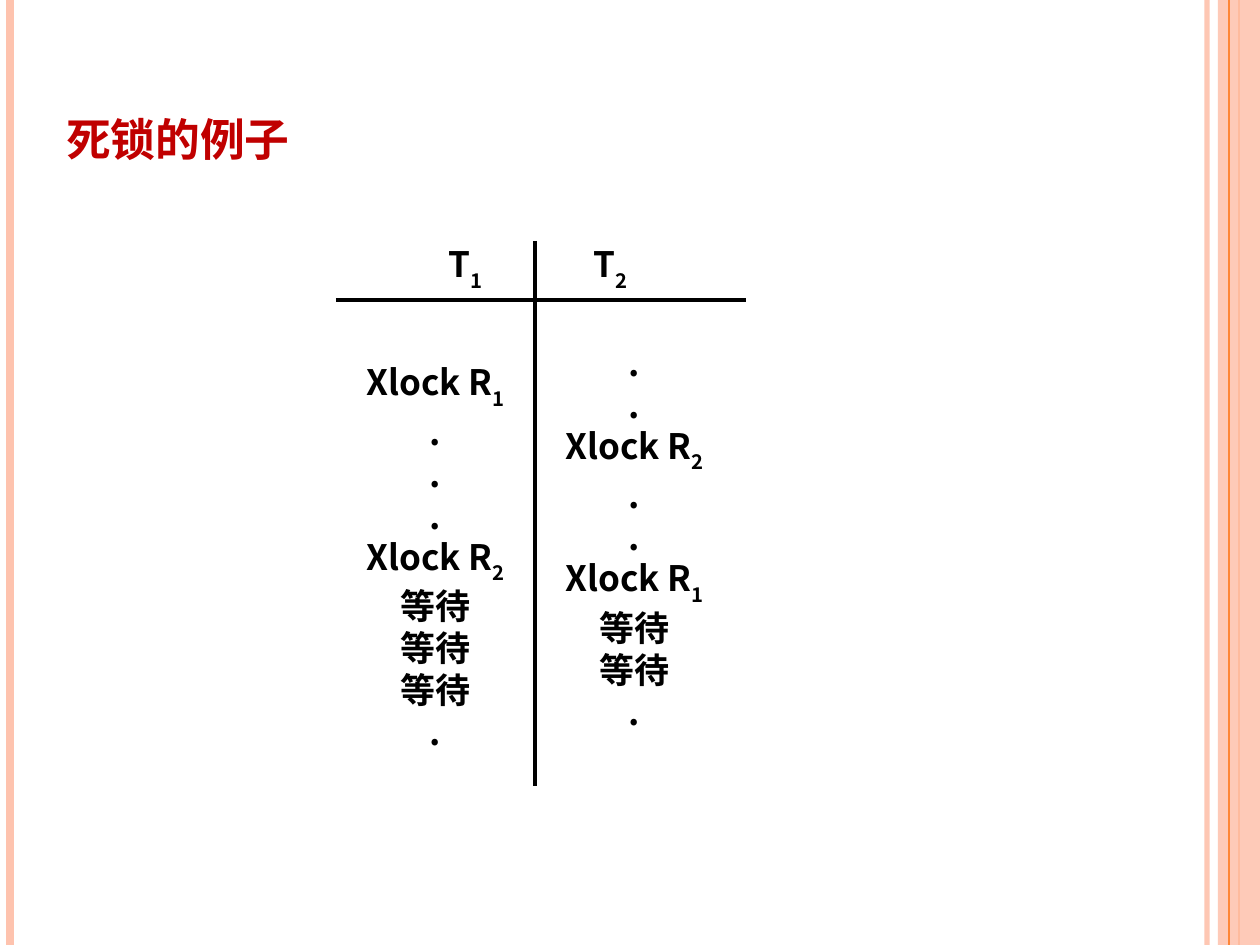
from lxml import etree
from pptx import Presentation
from pptx.dml.color import RGBColor
from pptx.enum.shapes import MSO_CONNECTOR, MSO_SHAPE
from pptx.enum.text import MSO_ANCHOR, PP_ALIGN
from pptx.oxml.ns import qn
from pptx.util import Emu, Pt

LINE, RECT = MSO_CONNECTOR.STRAIGHT, MSO_SHAPE.RECTANGLE
TOP, MIDDLE = MSO_ANCHOR.TOP, MSO_ANCHOR.MIDDLE
LEFT, CENTER = PP_ALIGN.LEFT, PP_ALIGN.CENTER
PX = 914400 // 126
W, H = 1260, 945

THEME = {
    "font": "Noto Sans CJK SC",
    "title": "C00000", "ink": "000000", "pale": "FEC3AE", "deep": "FE8637",
    "head_size": 32, "body_size": 20, "pitch": 24,
}

# A line of text is (base, subscript).
TITLE = [("死锁的例子", "")]
DOT, WAIT = (".", ""), ("等待", "")
LOCK1, LOCK2 = ("Xlock R", "1"), ("Xlock R", "2")
# head, head left, column left, column height, space above the steps, steps
COLUMNS = [
    (("T", "1"), 449, 336, 510, 68,
     [LOCK1, DOT, DOT, DOT, LOCK2, WAIT, WAIT, WAIT, DOT]),
    (("T", "2"), 594, 535, 471, 41,
     [DOT, DOT, LOCK2, DOT, DOT, LOCK1, WAIT, WAIT, DOT]),
]
# x, colour, width in points, opacity in percent
STRIPES = [(1207, "pale", 3, 93), (10, "pale", 4.5, 100), (1239, "deep", 1.5, 100)]
EDGE = (1229, "deep", 0.75, 100)
BAND = (1218, 0, W - 1218, H)
RULES = [(336, 300, 746, 300), (535, 241, 535, 786)]


def px(*values):
    return [Emu(v * PX) for v in values]


def rgb(name):
    return RGBColor.from_string(THEME[name])


def fade(part, percent):
    """Set the opacity of the first solid colour inside a shape."""
    color = next(part._element.spPr.iter(qn("a:srgbClr")))
    etree.SubElement(color, qn("a:alpha")).set("val", str(percent * 1000))


def rule(slide, ends, color, width, opacity=100):
    line = slide.shapes.add_connector(LINE, *px(*ends))
    line.line.color.rgb = rgb(color)
    line.line.width = Pt(width)
    etree.SubElement(line._element.spPr, qn("a:effectLst"))
    if opacity < 100:
        fade(line, opacity)


def stripe(slide, x, color, width, opacity):
    rule(slide, (x, 0, x, H), color, width, opacity)


def text(slide, box, lines, size="body_size", color="ink", align=LEFT,
         anchor=TOP, side=0, top=0, pitch=None, caps=False):
    frame = slide.shapes.add_textbox(*px(*box)).text_frame
    frame.word_wrap = True
    frame.vertical_anchor = anchor
    frame.margin_left, frame.margin_right = px(side, side)
    frame.margin_top, frame.margin_bottom = px(top, 0)
    for i, (base, sub) in enumerate(lines):
        para = frame.paragraphs[0] if i == 0 else frame.add_paragraph()
        para.alignment = align
        if pitch:
            para.line_spacing = Pt(pitch)
            if sub and i:
                para.space_before = Pt(3.75)
        for part in filter(None, (base, sub)):
            run = para.add_run()
            run.text = part
            font = run.font
            font.name, font.size, font.bold = THEME["font"], Pt(THEME[size]), True
            font.color.rgb = rgb(color)
            props = run._r.get_or_add_rPr()
            etree.SubElement(props, qn("a:ea")).set("typeface", THEME["font"])
            if part is sub:
                props.set("baseline", "-30000")
            if caps:
                props.set("cap", "small")


def main():
    deck = Presentation()
    deck.slide_width, deck.slide_height = px(W, H)
    slide = deck.slides.add_slide(deck.slide_layouts[6])

    for item in STRIPES:
        stripe(slide, *item)
    band = slide.shapes.add_shape(RECT, *px(*BAND))
    band.shadow.inherit = False
    band.fill.solid()
    band.fill.fore_color.rgb = rgb("pale")
    band.line.fill.background()
    fade(band, 87)
    stripe(slide, *EDGE)

    text(slide, (54, 55, 1108, 158), TITLE, size="head_size", color="title",
         anchor=MIDDLE, side=12, caps=True)
    for ends in RULES:
        rule(slide, ends, "ink", 2.25)
    for head, x, left, tall, gap, steps in COLUMNS:
        text(slide, (x, 243, 60, 57), [head])
        text(slide, (left, 300, 199, tall), steps, align=CENTER, side=12,
             top=gap, pitch=THEME["pitch"])
    deck.save("out.pptx")


if __name__ == "__main__":
    main()
